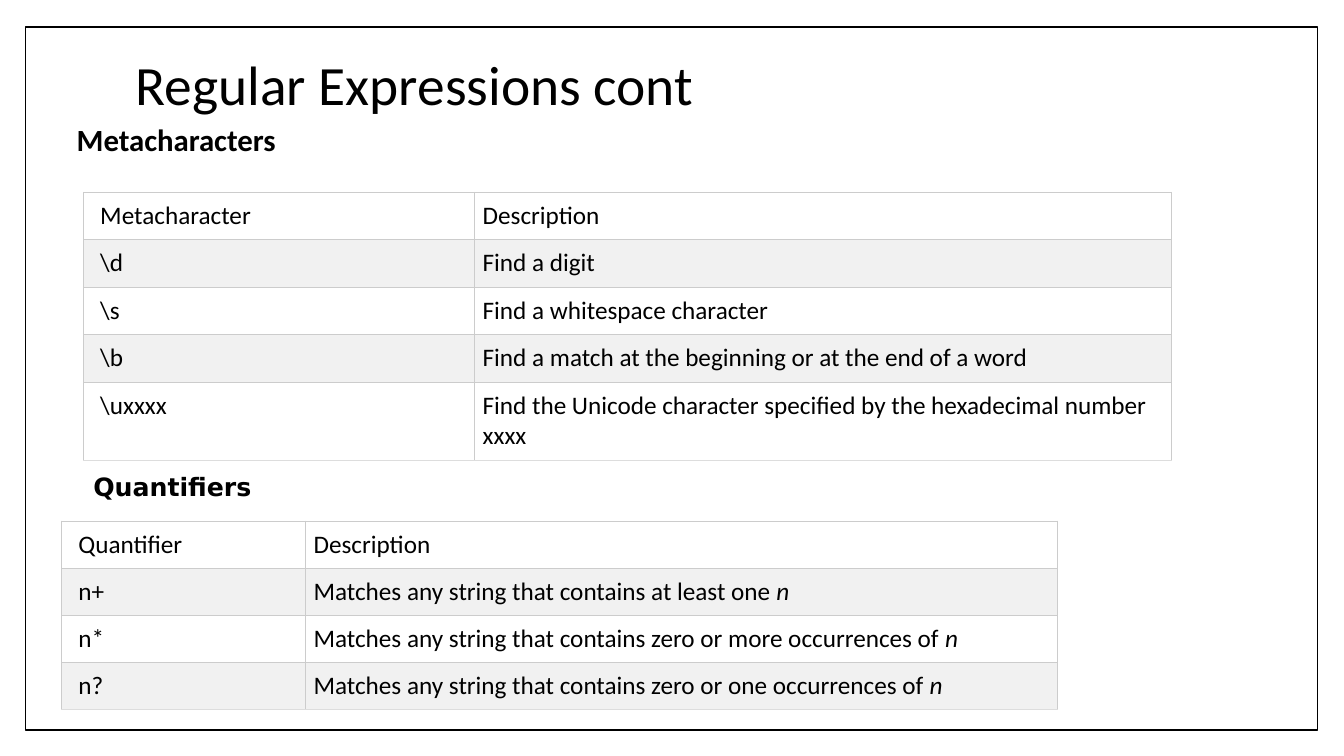
from dataclasses import dataclass

from lxml.etree import SubElement
from pptx import Presentation
from pptx.dml.color import RGBColor as RGB
from pptx.enum.shapes import MSO_SHAPE as SHAPE
from pptx.enum.text import MSO_ANCHOR as ANCHOR
from pptx.oxml.ns import qn
from pptx.util import Pt


@dataclass(frozen=True)
class Theme:
    """Colours, fonts and type sizes of the slide."""
    ink: str = "000000"
    paper: str = "FFFFFF"
    band: str = "F1F1F1"
    grid: str = "CCCCCC"
    grid_end: str = "DDDDDD"
    font: str = "Calibri"
    alt_font: str = "DejaVu Sans"
    title: float = 39.6
    heading: float = 22
    body: float = 18


T = Theme()

METACHARACTERS = [
    ("Metacharacter", "Description"),
    (r"\d", "Find a digit"),
    (r"\s", "Find a whitespace character"),
    (r"\b", "Find a match at the beginning or at the end of a word"),
    (r"\uxxxx", "Find the Unicode character specified by the hexadecimal number xxxx"),
]
# A third item is the italic ending of the description.
QUANTIFIERS = [
    ("Quantifier", "Description"),
    ("n+", "Matches any string that contains at least one\u00a0", "n"),
    ("n*", "Matches any string that contains zero or more occurrences of\u00a0", "n"),
    ("n?", "Matches any string that contains zero or one occurrences of\u00a0", "n"),
]


def add_text(p, text, size=T.body, font=T.font, bold=False, italic=False, spacing=None):
    """Append a formatted run to a paragraph."""
    r = p.add_run()
    r.text = text
    r.font.size, r.font.name = Pt(size), font
    r.font.bold, r.font.italic = bold, italic
    r.font.color.rgb = RGB.from_string(T.ink)
    if spacing:
        p.line_spacing = spacing


def add_frame(s, x, y, w, h):
    """Draw the outlined rectangle around the slide content."""
    sp = s.shapes.add_shape(SHAPE.RECTANGLE, Pt(x), Pt(y), Pt(w), Pt(h))
    sp.shadow.inherit = False
    sp.fill.solid()
    sp.fill.fore_color.rgb = RGB.from_string(T.paper)
    sp.line.color.rgb = RGB.from_string(T.ink)
    sp.line.width = Pt(1)


def add_label(s, text, x, y, w, h, anchor=ANCHOR.TOP, inset=7.2, wrap=True, **fmt):
    """Add a text box holding one paragraph."""
    tf = s.shapes.add_textbox(Pt(x), Pt(y), Pt(w), Pt(h)).text_frame
    tf.word_wrap, tf.vertical_anchor = wrap, anchor
    tf.margin_left = Pt(inset)
    add_text(tf.paragraphs[0], text, **fmt)


def set_borders(cell, bottom):
    """Rule all four sides of a cell, the bottom in its own colour."""
    tcPr = cell._tc.get_or_add_tcPr()
    sides = {"a:lnL": T.grid, "a:lnR": T.grid, "a:lnT": T.grid, "a:lnB": bottom}
    for tag, color in sides.items():
        ln = SubElement(tcPr, qn(tag), w=str(Pt(0.75)))
        fill = SubElement(ln, qn("a:solidFill"))
        SubElement(fill, qn("a:srgbClr"), val=color)


def add_grid(s, rows, x, y, widths, heights):
    """Add a two-column table with banded rows."""
    table = s.shapes.add_table(len(rows), len(widths), Pt(x), Pt(y),
                               Pt(sum(widths)), Pt(sum(heights))).table
    for col, width in zip(table.columns, widths):
        col.width = Pt(width)
    for i, (name, *description) in enumerate(rows):
        table.rows[i].height = Pt(heights[i])
        for j, runs in enumerate(([name], description)):
            cell = table.cell(i, j)
            cell.margin_left = Pt(6 if j else 12)
            cell.margin_right = Pt(6)
            cell.margin_top = cell.margin_bottom = Pt(5.8)
            set_borders(cell, T.grid_end if i == len(rows) - 1 else T.grid)
            cell.fill.solid()
            cell.fill.fore_color.rgb = RGB.from_string(T.band if i % 2 else T.paper)
            for k, text in enumerate(runs):
                add_text(cell.text_frame.paragraphs[0], text, italic=k > 0)


def main():
    """Build the slide and save it."""
    prs = Presentation()
    prs.slide_width, prs.slide_height = Pt(960), Pt(540)
    s = prs.slides.add_slide(prs.slide_layouts[6])
    add_frame(s, 18, 19.4, 923, 502)
    add_label(s, "Regular Expressions cont", 90, 48.2, 777.6, 28.8,
              anchor=ANCHOR.MIDDLE, size=T.title, spacing=0.9)
    add_label(s, "Metacharacters", 44, 85.7, 809.3, 375,
              inset=10.8, size=T.heading, bold=True, spacing=0.9)
    add_grid(s, METACHARACTERS, 59.6, 137.4, [279.2, 497.8], [33.9] * 4 + [56.3])
    add_label(s, "Quantifiers\u00a0", 59.6, 333.4, 134.6, 29,
              wrap=False, font=T.alt_font, bold=True)
    add_grid(s, QUANTIFIERS, 44, 372.2, [174, 537.3], [33.6] * 4)
    prs.save("out.pptx")


main()
